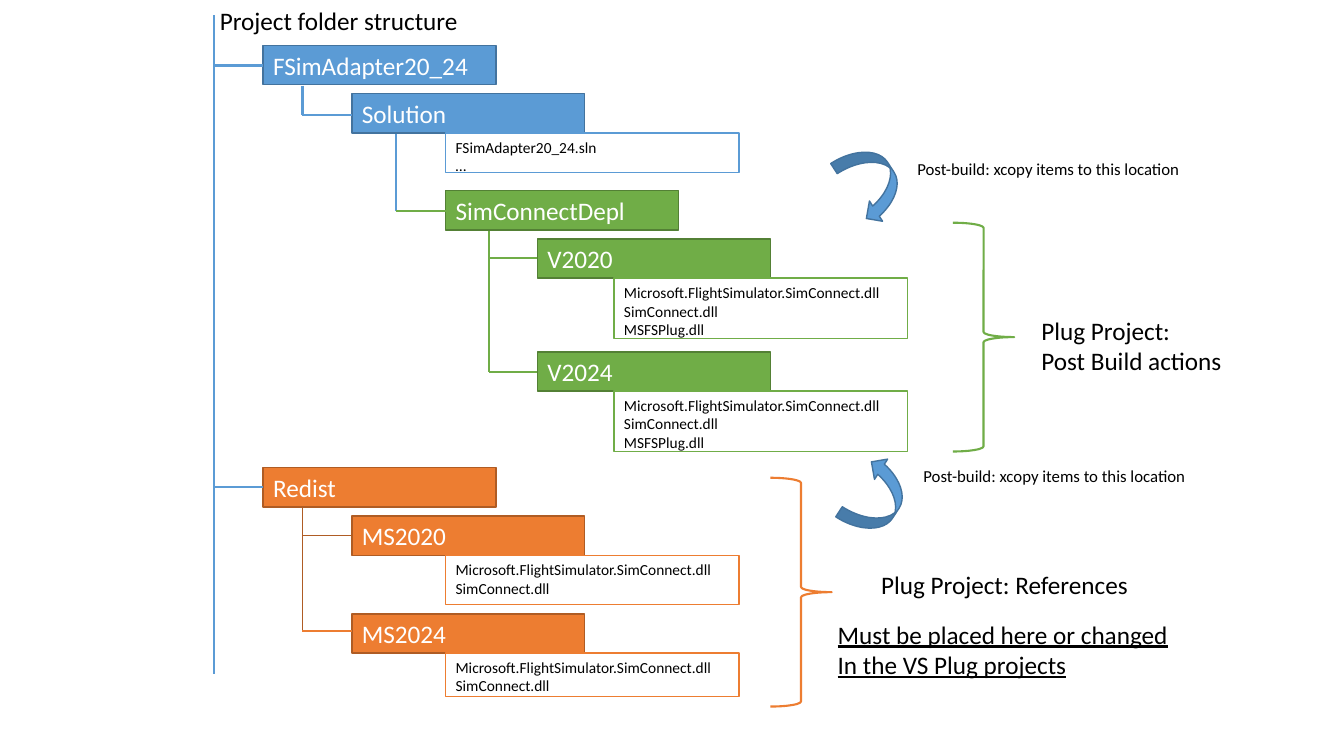
from dataclasses import dataclass

from lxml import etree
from pptx import Presentation
from pptx import util as u
from pptx.dml.color import RGBColor
from pptx.enum import shapes, text
from pptx.oxml.ns import qn
from pptx.shapes.autoshape import Shape
from pptx.slide import Slide
from pptx.text.text import TextFrame

BLUE = RGBColor(0x5B, 0x9B, 0xD5)
DARK_BLUE = RGBColor(0x43, 0x73, 0x9E)
ORANGE = RGBColor(0xED, 0x7D, 0x31)
DARK_ORANGE = RGBColor(0xAF, 0x5C, 0x24)
GREEN = RGBColor(0x70, 0xAD, 0x47)
DARK_GREEN = RGBColor(0x53, 0x80, 0x35)
WHITE = RGBColor(0xFF, 0xFF, 0xFF)
BLACK = RGBColor(0x00, 0x00, 0x00)
EDGES = {BLUE: DARK_BLUE, ORANGE: DARK_ORANGE, GREEN: DARK_GREEN}

FONT = "Calibri"
FOLDER_WIDTH, FOLDER_HEIGHT, FILES_WIDTH = 2.31, 0.39, 2.91
LIBRARIES = "Microsoft.FlightSimulator.SimConnect.dll\vSimConnect.dll"
PLUG_LIBRARIES = LIBRARIES + "\nMSFSPlug.dll"
POST_BUILD = "Post-build: xcopy items to this location"

Box = tuple[float, float, float, float]


@dataclass(frozen=True)
class Folder:
    name: str
    left: float
    top: float
    color: RGBColor
    files: str = ""
    files_indent: float = 0.93
    files_height: float = 0.0


@dataclass(frozen=True)
class Arm:
    y: float
    color: RGBColor
    weight: float = 1.5


@dataclass(frozen=True)
class Trunk:
    x: float
    top: float
    bottom: float
    color: RGBColor
    arms: tuple[Arm, ...]
    arm_length: float = 0.49
    weight: float = 1.5


@dataclass(frozen=True)
class Caption:
    words: str
    box: Box
    size: int = 18
    underline: bool = False
    wrap: bool = False


@dataclass(frozen=True)
class CopyArrow:
    box: Box
    rotation: float
    flipped: bool = False


FOLDERS = (
    Folder("FSimAdapter20_24", 2.61, 0.45, BLUE),
    Folder("Solution", 3.49, 0.93, BLUE, "FSimAdapter20_24.sln\n…", files_height=0.39),
    Folder("SimConnectDepl", 4.42, 1.89, GREEN),
    Folder("V2020", 5.33, 2.37, GREEN, PLUG_LIBRARIES, 0.76, 0.6),
    Folder("V2024", 5.33, 3.49, GREEN, PLUG_LIBRARIES, 0.76, 0.6),
    Folder("Redist", 2.61, 4.64, ORANGE),
    Folder("MS2020", 3.49, 5.12, ORANGE, LIBRARIES, files_height=0.49),
    Folder("MS2024", 3.49, 6.09, ORANGE, LIBRARIES, files_height=0.43),
)

TRUNKS = (
    Trunk(2.12, 0.15, 6.69, BLUE, (Arm(0.65, BLUE), Arm(4.83, BLUE))),
    Trunk(3.0, 0.85, 1.14, BLUE, (Arm(1.14, BLUE),)),
    Trunk(3.93, 1.33, 2.09, BLUE, (Arm(2.09, GREEN),)),
    Trunk(4.85, 2.29, 3.69, GREEN, (Arm(2.56, GREEN), Arm(3.69, GREEN)), 0.48),
    Trunk(3.0, 5.03, 6.26, DARK_ORANGE,
          (Arm(5.31, DARK_ORANGE, 1), Arm(6.26, ORANGE)), weight=1),
)

CAPTIONS = (
    Caption("Plug Project:\vPost Build actions", (10.23, 3.08, 2.01, 0.71)),
    Caption("Plug Project: References", (8.64, 5.6, 2.68, 0.4)),
    Caption("Must be placed here or changed\nIn the VS Plug projects",
            (8.21, 6.09, 3.52, 0.71), underline=True),
    Caption(POST_BUILD, (9.0, 1.53, 3.84, 0.3), size=12, wrap=True),
    Caption(POST_BUILD, (9.06, 4.57, 3.84, 0.3), size=12, wrap=True),
)

BRACES = (((9.45, 2.21, 0.61, 2.27), GREEN), ((7.64, 4.74, 0.61, 2.27), ORANGE))
COPY_ARROWS = (
    CopyArrow((8.41, 1.43, 0.48, 0.77), 147, flipped=True),
    CopyArrow((8.46, 4.55, 0.48, 0.77), 213),
)


def inches(box: Box) -> list[u.Length]:
    return [u.Inches(length) for length in box]


def write(frame: TextFrame, words: str, *, size: float, color: RGBColor = BLACK,
          anchor: text.MSO_ANCHOR = text.MSO_ANCHOR.TOP, underline: bool = False,
          wrap: bool = True, grow: bool = False) -> None:
    frame.word_wrap = wrap
    frame.vertical_anchor = anchor
    frame.auto_size = (text.MSO_AUTO_SIZE.SHAPE_TO_FIT_TEXT if grow
                       else text.MSO_AUTO_SIZE.NONE)
    frame.text = words
    for paragraph in frame.paragraphs:
        paragraph.alignment = text.PP_ALIGN.LEFT
        paragraph.line_spacing = 1.0
        for run in paragraph.runs:
            run.font.name = FONT
            run.font.size = u.Pt(size)
            run.font.color.rgb = color
            if underline:
                run.font.underline = True


def draw_shape(slide: Slide, kind: shapes.MSO_SHAPE, box: Box, edge: RGBColor,
               fill: RGBColor | None = None, weight: float = 1) -> Shape:
    shape = slide.shapes.add_shape(kind, *inches(box))
    shape.shadow.inherit = False
    if fill is None:
        shape.fill.background()
    else:
        shape.fill.solid()
        shape.fill.fore_color.rgb = fill
    shape.line.color.rgb = edge
    shape.line.width = u.Pt(weight)
    return shape


def draw_line(slide: Slide, ends: Box, color: RGBColor, weight: float) -> None:
    line = slide.shapes.add_connector(shapes.MSO_CONNECTOR.STRAIGHT, *inches(ends))
    line.line.color.rgb = color
    line.line.width = u.Pt(weight)
    etree.SubElement(line._element.spPr, qn("a:effectLst"))


def draw_folder(slide: Slide, folder: Folder) -> None:
    label = draw_shape(slide, shapes.MSO_SHAPE.RECTANGLE,
                       (folder.left, folder.top, FOLDER_WIDTH, FOLDER_HEIGHT),
                       EDGES[folder.color], folder.color)
    write(label.text_frame, folder.name, size=18, color=WHITE,
          anchor=text.MSO_ANCHOR.MIDDLE)
    if folder.files:
        box = (folder.left + folder.files_indent, folder.top + FOLDER_HEIGHT,
               FILES_WIDTH, folder.files_height)
        files = draw_shape(slide, shapes.MSO_SHAPE.RECTANGLE, box, folder.color, WHITE)
        write(files.text_frame, folder.files, size=11)


def draw_trunk(slide: Slide, trunk: Trunk) -> None:
    draw_line(slide, (trunk.x, trunk.top, trunk.x, trunk.bottom),
              trunk.color, trunk.weight)
    for arm in trunk.arms:
        draw_line(slide, (trunk.x, arm.y, trunk.x + trunk.arm_length, arm.y),
                  arm.color, arm.weight)


def draw_caption(slide: Slide, caption: Caption) -> None:
    box = slide.shapes.add_textbox(*inches(caption.box))
    write(box.text_frame, caption.words, size=caption.size,
          underline=caption.underline, wrap=caption.wrap, grow=True)


def draw_copy_arrow(slide: Slide, arrow: CopyArrow) -> None:
    curve = draw_shape(slide, shapes.MSO_SHAPE.CURVED_RIGHT_ARROW, arrow.box,
                       DARK_BLUE, BLUE)
    curve.rotation = arrow.rotation
    if arrow.flipped:
        curve._element.spPr.find(qn("a:xfrm")).set("flipV", "1")


def main() -> None:
    deck = Presentation()
    deck.slide_width, deck.slide_height = u.Inches(13.33), u.Inches(7.5)
    slide = deck.slides.add_slide(deck.slide_layouts.get_by_name("Title Only"))
    title = slide.shapes.title
    title.left, title.top, title.width, title.height = inches((2.08, 0, 2.59, 0.4))
    write(title.text_frame, "Project folder structure", size=18, wrap=False, grow=True)
    for folder in FOLDERS:
        draw_folder(slide, folder)
    for trunk in TRUNKS:
        draw_trunk(slide, trunk)
    for box, color in BRACES:
        draw_shape(slide, shapes.MSO_SHAPE.RIGHT_BRACE, box, color, weight=1.5)
    for caption in CAPTIONS:
        draw_caption(slide, caption)
    for arrow in COPY_ARROWS:
        draw_copy_arrow(slide, arrow)
    deck.save("out.pptx")


if __name__ == "__main__":
    main()
